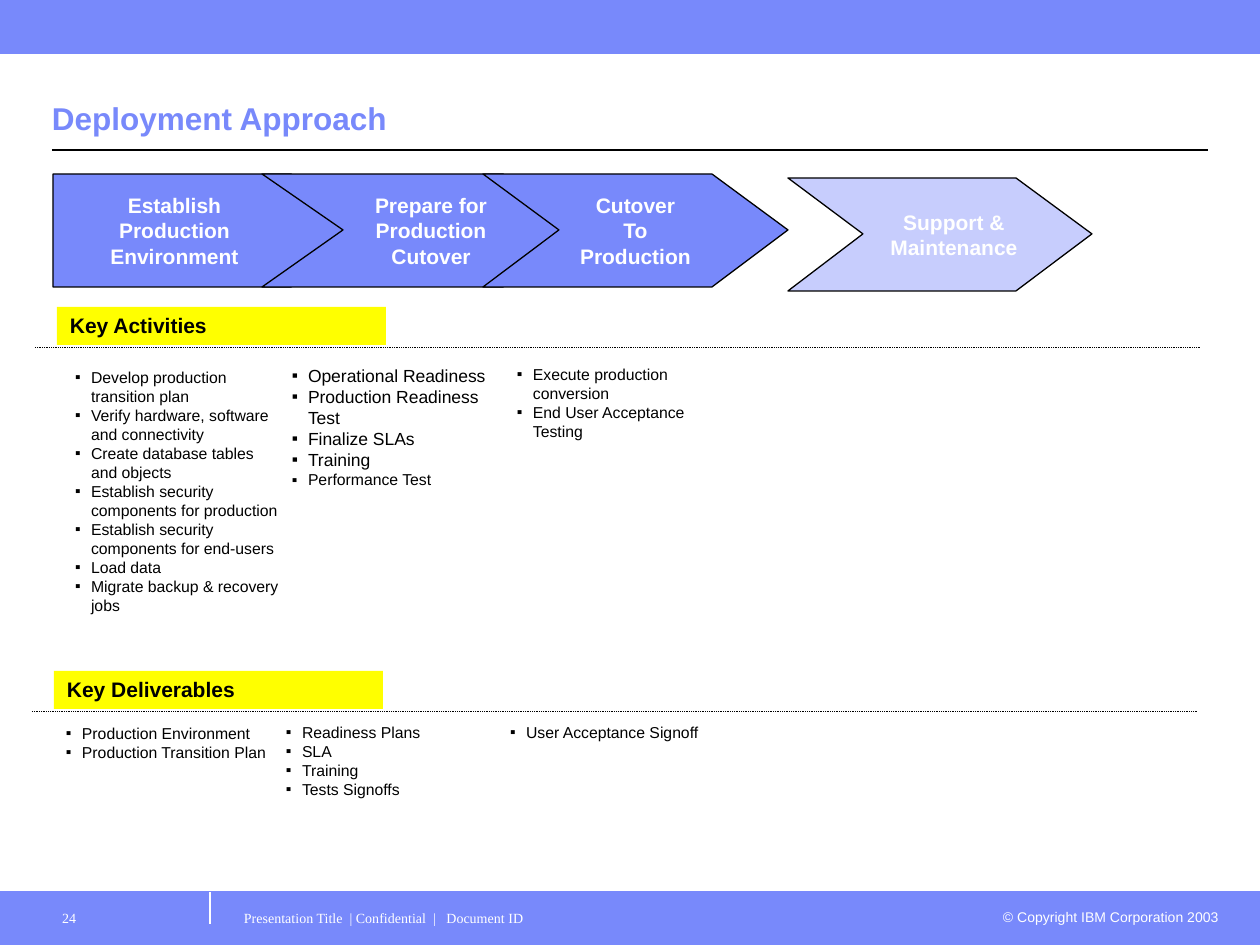
import pptx
import pptx.util
import pptx.dml.color
import pptx.enum.dml
import pptx.enum.shapes
import pptx.enum.text
import pptx.oxml
import pptx.oxml.ns

SCALE = 914400 / 126
BLUE, PALE, WHITE, BLACK, YELLOW = "7889FB", "C7CDFD", "FFFFFF", "000000", "FFFF00"
ALIGN = pptx.enum.text.PP_ALIGN
ANCHOR = pptx.enum.text.MSO_ANCHOR
SHAPE = pptx.enum.shapes.MSO_SHAPE

TITLE = "Deployment Approach"
BARS = [(0, 0, 1260, 53), (0, 892, 1260, 53)]
RULES = [
    ((52, 150, 1208, 150), BLACK, 0.75, False),
    ((210, 924, 210, 892), WHITE, 0.75, False),
    ((35, 347, 1200, 347), BLACK, 0.5, True),
    ((32, 711, 1197, 711), BLACK, 0.5, True),
]
CHEVRON_HEIGHT = 113
CHEVRONS = [
    (["Establish", "Production", "Environment"], 53, 174, 291, 372, 53, BLUE, (13, 89)),
    (["Prepare for", "Production", "Cutover"], 262, 174, 503, 582, 343, BLUE, (31, 13)),
    (["Cutover", "To", "Production"], 483, 174, 712, 788, 559, BLUE, (13, 13)),
    (["Support &", "Maintenance"], 788, 178, 1016, 1092, 863, PALE, (41, 13)),
]
BANDS = [("Key Activities", (57, 307, 329, 38)), ("Key Deliverables", (54, 671, 329, 38))]
LISTS = [
    ((62, 362, 231, 346), [
        ("Develop production transition plan", 9),
        ("Verify hardware, software and connectivity", 9),
        ("Create database tables and objects", 9),
        ("Establish security components for production", 9),
        ("Establish security components for end-users", 9),
        ("Load data", 9),
        ("Migrate backup & recovery jobs", 9)]),
    ((279, 359, 231, 346), [
        ("Operational Readiness", 10),
        ("Production Readiness Test", 10),
        ("Finalize SLAs", 10),
        ("Training", 10),
        ("Performance Test", 9)]),
    ((504, 359, 242, 346), [
        ("Execute production conversion", 9),
        ("End User Acceptance Testing", 9)]),
    ((53, 718, 231, 159), [
        ("Production Environment", 9),
        ("Production Transition Plan", 9)]),
    ((273, 717, 231, 166), [
        ("Readiness Plans", 9), ("SLA", 9), ("Training", 9), ("Tests Signoffs", 9)]),
    ((497, 717, 231, 166), [("User Acceptance Signoff", 9)]),
]
FOOTERS = [
    ("24", (42, 901, 168, 44), (20, 9), "Times New Roman", ALIGN.LEFT),
    ("Presentation Title  | Confidential  |   Document ID", (231, 901, 756, 44), (13, 9),
     "Times New Roman", ALIGN.LEFT),
    ("© Copyright IBM Corporation 2003", (980, 903, 252, 30), (13, 6), "Arial", ALIGN.RIGHT),
]


def px(value):
    return pptx.util.Emu(round(value * SCALE))


def color(value):
    return pptx.dml.color.RGBColor.from_string(value)


def apply(target, values):
    for name, value in values.items():
        setattr(target, name, value)


def paint(shape, fill, line=None):
    shape.shadow.inherit = False
    shape.fill.solid()
    shape.fill.fore_color.rgb = color(fill)
    if line:
        shape.line.color.rgb = color(line)
        shape.line.width = pptx.util.Pt(0.75)
    else:
        shape.line.fill.background()


def add_bullet(para):
    properties = para._p.get_or_add_pPr()
    apply_indent = {"marL": px(16), "indent": -px(16)}
    for name, value in apply_indent.items():
        properties.set(name, str(value))
    for content in (f'<a:buClr {{}}><a:srgbClr val="{BLACK}"/></a:buClr>',
                    '<a:buFont {} typeface="Arial"/>',
                    '<a:buChar {} char="▪"/>'):
        properties.append(pptx.oxml.parse_xml(content.format(pptx.oxml.ns.nsdecls("a"))))


def write(shape, items, ink, bold=False, font="Arial", align=ALIGN.LEFT,
          anchor=ANCHOR.TOP, insets=(13, 6, 13, 6), bullets=False):
    frame = shape.text_frame
    left, top, right, bottom = map(px, insets)
    apply(frame, {"word_wrap": True, "auto_size": pptx.enum.text.MSO_AUTO_SIZE.NONE,
                  "vertical_anchor": anchor, "margin_left": left, "margin_top": top,
                  "margin_right": right, "margin_bottom": bottom})
    for index, (text, size) in enumerate(items):
        para = frame.add_paragraph() if index else frame.paragraphs[0]
        para.alignment = align
        if bullets:
            add_bullet(para)
        span = para.add_run()
        span.text = text
        apply(span.font, {"name": font, "size": pptx.util.Pt(size), "bold": bold})
        span.font.color.rgb = color(ink)


def add_box(page, place, fill, line=None):
    box = page.shapes.add_shape(SHAPE.RECTANGLE, *map(px, place))
    paint(box, fill, line)
    return box


def add_rule(page, ends, ink, width, dotted):
    rule = page.shapes.add_connector(pptx.enum.shapes.MSO_CONNECTOR.STRAIGHT, *map(px, ends))
    rule.line.color.rgb = color(ink)
    rule.line.width = pptx.util.Pt(width)
    if dotted:
        rule.line.dash_style = pptx.enum.dml.MSO_LINE.ROUND_DOT
    effects = pptx.oxml.parse_xml(f'<a:effectLst {pptx.oxml.ns.nsdecls("a")}/>')
    rule._element.spPr.append(effects)


def add_chevron(page, lines, left, top, shoulder, tip, notch, fill, margins):
    middle, bottom = top + CHEVRON_HEIGHT / 2, top + CHEVRON_HEIGHT
    points = [(shoulder, top), (tip, middle), (shoulder, bottom), (left, bottom)]
    if notch > left:
        points.append((notch, middle))
    builder = page.shapes.build_freeform(left, top, scale=SCALE)
    builder.add_line_segments(points, close=True)
    chevron = builder.convert_to_shape()
    paint(chevron, fill, BLACK)
    write(chevron, [(line, 12) for line in lines], WHITE, bold=True, align=ALIGN.CENTER,
          anchor=ANCHOR.MIDDLE, insets=(margins[0], 6, margins[1], 6))


def main():
    deck = pptx.Presentation()
    apply(deck, {"slide_width": px(1260), "slide_height": px(945)})
    page = deck.slides.add_slide(deck.slide_layouts[5])
    title = page.shapes.title
    apply(title, dict(zip(("left", "top", "width", "height"), map(px, (52, 66, 1156, 77)))))
    write(title, [(TITLE, 18)], BLUE, bold=True, anchor=ANCHOR.BOTTOM, insets=(0, 6, 0, 6))
    for place in BARS:
        add_box(page, place, BLUE, BLUE)
    for chevron in CHEVRONS:
        add_chevron(page, *chevron)
    for place, items in LISTS:
        write(add_box(page, place, WHITE), items, BLACK, bullets=True)
    for rule in RULES:
        add_rule(page, *rule)
    for text, place in BANDS:
        write(add_box(page, place, YELLOW), [(text, 12)], BLACK, bold=True)
    for text, place, (left, top), font, align in FOOTERS:
        box = page.shapes.add_textbox(*map(px, place))
        write(box, [(text, 8)], WHITE, font=font, align=align, insets=(left, top, 13, 6))
    deck.save("out.pptx")


if __name__ == "__main__":
    main()
